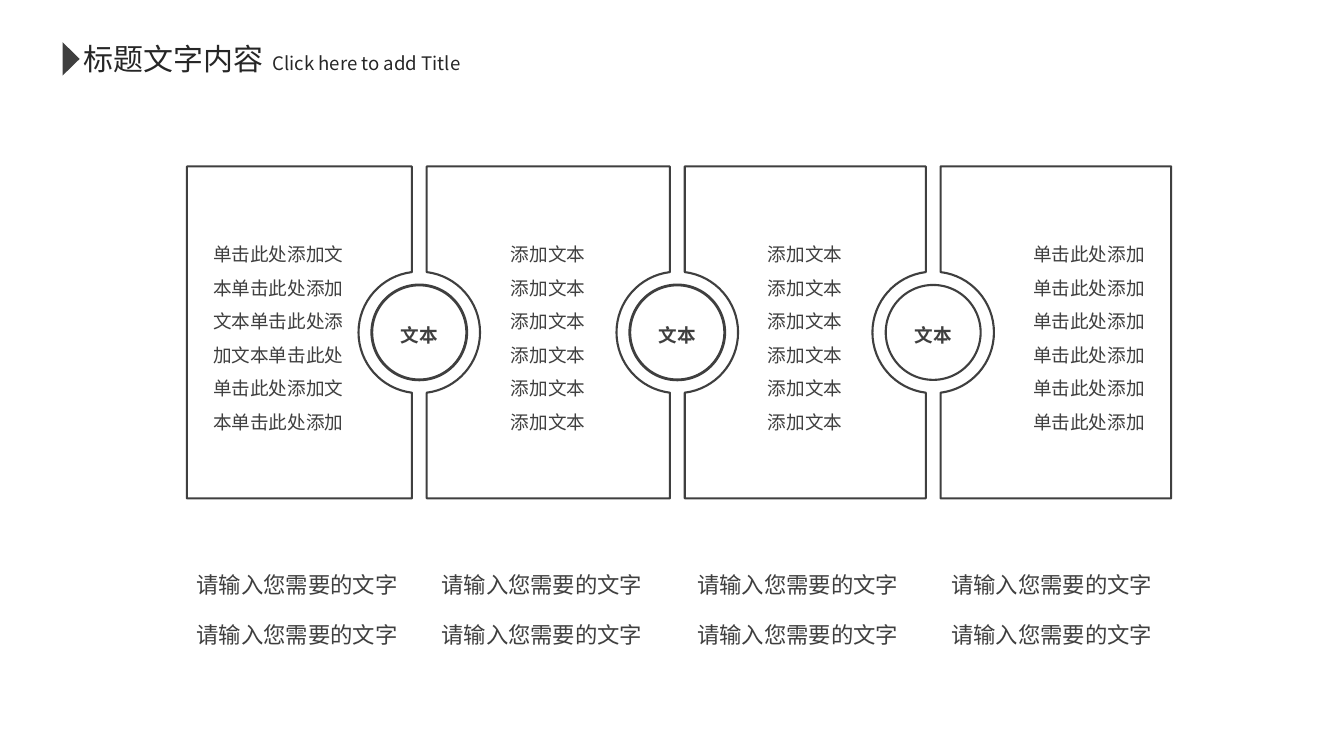
import math
from dataclasses import dataclass
from typing import Optional

from lxml import etree
from pptx import Presentation
from pptx.dml.color import RGBColor
from pptx.enum.shapes import MSO_SHAPE
from pptx.enum.text import MSO_ANCHOR, MSO_AUTO_SIZE, PP_ALIGN
from pptx.oxml.ns import qn
from pptx.shapes.autoshape import Shape
from pptx.slide import Slide
from pptx.text.text import TextFrame
from pptx.util import Pt

LEFT, CENTER, RIGHT = PP_ALIGN.LEFT, PP_ALIGN.CENTER, PP_ALIGN.RIGHT
TOP, MIDDLE = MSO_ANCHOR.TOP, MSO_ANCHOR.MIDDLE
FIXED, GROW = MSO_AUTO_SIZE.NONE, MSO_AUTO_SIZE.SHAPE_TO_FIT_TEXT
RECTANGLE, ELLIPSE, TRIANGLE = MSO_SHAPE.RECTANGLE, MSO_SHAPE.OVAL, MSO_SHAPE.ISOSCELES_TRIANGLE
TITLE_ONLY = 5
Point = tuple[float, float]
Box = tuple[float, float, float, float]


@dataclass(frozen=True)
class Theme:
    font: str = "Noto Sans CJK SC"
    paper: RGBColor = RGBColor(0xFF, 0xFF, 0xFF)
    ink: RGBColor = RGBColor(0x3F, 0x3F, 0x3F)
    heading: RGBColor = RGBColor(0x26, 0x26, 0x26)
    title_size: float = 21.4
    label_size: float = 16
    body_size: float = 13.3


THEME = Theme()


@dataclass(frozen=True)
class TextStyle:
    size: float = THEME.body_size
    color: RGBColor = THEME.ink
    bold: bool = False
    align: PP_ALIGN = LEFT
    spacing: float = 1.0
    anchor: MSO_ANCHOR = TOP
    insets: Box = (7.2, 3.6, 7.2, 3.6)
    wrap: bool = True
    fit: MSO_AUTO_SIZE = GROW


@dataclass(frozen=True)
class Node:
    center: float
    line_width: float


@dataclass(frozen=True)
class Panel:
    before: Optional[Node]
    after: Optional[Node]
    paragraphs: list[str]
    align: PP_ALIGN
    inset_left: float
    inset_right: float


@dataclass(frozen=True)
class Segment:
    end: Point
    controls: tuple[Point, ...] = ()


SLIDE_WIDTH, SLIDE_HEIGHT = 960, 540
PANEL_TOP, PANEL_BOTTOM = 118.9, 356
PANELS_LEFT, PANELS_RIGHT = 133.5, 836.6
MIDDLE_Y = (PANEL_TOP + PANEL_BOTTOM) / 2
HALF_GAP, NOTCH_RADIUS, NODE_RADIUS = 5.3, 43.4, 33.9
PANEL_LINE = 1.5

NODES = [Node(299.5, 2), Node(483.8, 2), Node(666.6, 1.5)]
PANELS = [
    Panel(None, NODES[0],
          ["单击此处添加文本单击此处添加文本单击此处添加文本单击此处", "单击此处添加文本单击此处添加"],
          LEFT, 18.7, 47.5),
    Panel(NODES[0], NODES[1], ["添加文本"] * 6, CENTER, 47.5, 47.5),
    Panel(NODES[1], NODES[2], ["添加文本"] * 6, CENTER, 47.5, 47.5),
    Panel(NODES[2], None, ["单击此处添加" * 3] * 2, RIGHT, 56.9, 18.7),
]
LABEL_LEFTS = [133.4, 308.2, 491, 672.5]
LABEL_TOPS = [404.2, 440.3]


def assign(target: object, values: dict) -> None:
    for name, value in values.items():
        setattr(target, name, value)


def write(frame: TextFrame, paragraphs: list[str], style: TextStyle) -> None:
    left, top, right, bottom = map(Pt, style.insets)
    assign(frame, {"margin_left": left, "margin_top": top, "margin_right": right,
                   "margin_bottom": bottom, "word_wrap": style.wrap,
                   "auto_size": style.fit, "vertical_anchor": style.anchor})
    for index, wording in enumerate(paragraphs):
        paragraph = frame.add_paragraph() if index else frame.paragraphs[0]
        assign(paragraph, {"alignment": style.align, "line_spacing": style.spacing,
                           "space_before": Pt(0)})
        run = paragraph.add_run()
        run.text = wording
        assign(run.font, {"name": THEME.font, "size": Pt(style.size), "bold": style.bold})
        run.font.color.rgb = style.color
        etree.SubElement(run.font._element, qn("a:ea")).set("typeface", THEME.font)


def outline(shape: Shape, width: float) -> None:
    shape.shadow.inherit = False
    shape.fill.background()
    shape.line.color.rgb = THEME.ink
    shape.line.width = Pt(width)


def add_solid(slide: Slide, preset: MSO_SHAPE, box: Box, color: RGBColor) -> Shape:
    shape = slide.shapes.add_shape(preset, *map(Pt, box))
    shape.shadow.inherit = False
    shape.fill.solid()
    shape.fill.fore_color.rgb = color
    shape.line.fill.background()
    return shape


def notch(node: Node, side: int) -> list[Segment]:
    reach = math.acos(HALF_GAP / NOTCH_RADIUS)
    handle = 4 / 3 * math.tan(reach / 4)

    def at(angle: float, pull: float = 0) -> Point:
        across = math.cos(angle) - pull * math.sin(angle)
        along = math.sin(angle) + pull * math.cos(angle)
        return (node.center + side * NOTCH_RADIUS * across,
                MIDDLE_Y - side * NOTCH_RADIUS * along)

    return [Segment(at(-reach))] + [
        Segment(at(start + reach), (at(start, handle), at(start + reach, -handle)))
        for start in (-reach, 0)]


def add_outline(slide: Slide, start: Point, segments: list[Segment]) -> Shape:
    builder = slide.shapes.build_freeform(*map(Pt, start))
    builder.add_line_segments([tuple(map(Pt, segment.end)) for segment in segments])
    shape = builder.convert_to_shape()
    for line, segment in zip(list(shape._element.iter(qn("a:lnTo"))), segments):
        if segment.controls:
            line.tag = qn("a:cubicBezTo")
            for index, (x, y) in enumerate(segment.controls):
                control = etree.Element(qn("a:pt"))
                control.set("x", str(Pt(x) - shape.left))
                control.set("y", str(Pt(y) - shape.top))
                line.insert(index, control)
    return shape


def add_panel(slide: Slide, panel: Panel) -> None:
    left = panel.before.center + HALF_GAP if panel.before else PANELS_LEFT
    right = panel.after.center - HALF_GAP if panel.after else PANELS_RIGHT
    segments = [Segment((right, PANEL_TOP))]
    segments += notch(panel.after, -1) if panel.after else []
    segments += [Segment((right, PANEL_BOTTOM)), Segment((left, PANEL_BOTTOM))]
    segments += notch(panel.before, 1) if panel.before else []
    shape = add_outline(slide, (left, PANEL_TOP), segments)
    outline(shape, PANEL_LINE)
    write(shape.text_frame, panel.paragraphs,
          TextStyle(align=panel.align, spacing=1.5, anchor=MIDDLE, fit=FIXED,
                    insets=(panel.inset_left, 3.6, panel.inset_right, 3.6)))


def add_node(slide: Slide, node: Node) -> None:
    circle = slide.shapes.add_shape(
        ELLIPSE, Pt(node.center - NODE_RADIUS), Pt(MIDDLE_Y - NODE_RADIUS),
        Pt(2 * NODE_RADIUS), Pt(2 * NODE_RADIUS))
    outline(circle, node.line_width)
    write(circle.text_frame, ["文本"],
          TextStyle(bold=True, align=CENTER, spacing=1.2, anchor=MIDDLE,
                    insets=(0, 0, 0, 0), fit=FIXED))


def add_text(slide: Slide, box: Box, wording: str, style: TextStyle) -> None:
    write(slide.shapes.add_textbox(*map(Pt, box)).text_frame, [wording], style)


def add_heading(slide: Slide) -> None:
    title = slide.shapes.title
    assign(title, {"left": Pt(52.6), "top": Pt(25.2), "width": Pt(144), "height": Pt(33.1)})
    write(title.text_frame, ["标题文字内容"],
          TextStyle(size=THEME.title_size, color=THEME.heading, wrap=False))
    add_solid(slide, TRIANGLE, (38.9, 36, 23.8, 12.2), THEME.ink).rotation = 90
    add_text(slide, (187.4, 33.8, 157.5, 23.8), "Click here to add Title",
             TextStyle(color=THEME.heading, wrap=False))


def main() -> None:
    presentation = Presentation()
    assign(presentation, {"slide_width": Pt(SLIDE_WIDTH), "slide_height": Pt(SLIDE_HEIGHT)})
    slide = presentation.slides.add_slide(presentation.slide_layouts[TITLE_ONLY])
    backdrop = add_solid(slide, RECTANGLE, (0, 0, SLIDE_WIDTH, SLIDE_HEIGHT), THEME.paper)
    slide.shapes.title._element.addprevious(backdrop._element)
    for panel in PANELS:
        add_panel(slide, panel)
    for node in NODES:
        add_node(slide, node)
    for top in LABEL_TOPS:
        for left in LABEL_LEFTS:
            add_text(slide, (left, top, 283.7, 26.6), "请输入您需要的文字",
                     TextStyle(size=THEME.label_size))
    add_heading(slide)
    presentation.save("out.pptx")


if __name__ == "__main__":
    main()
